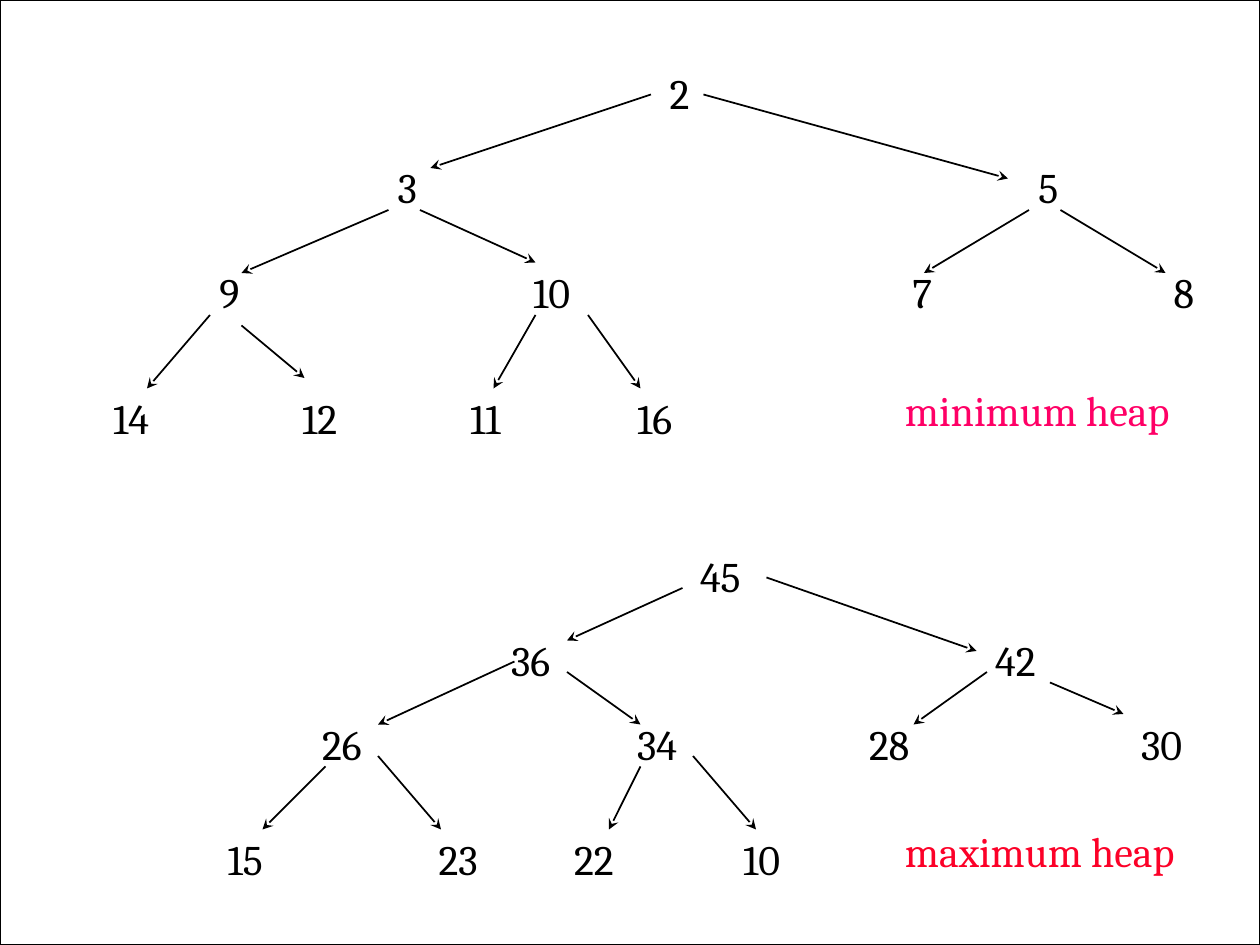
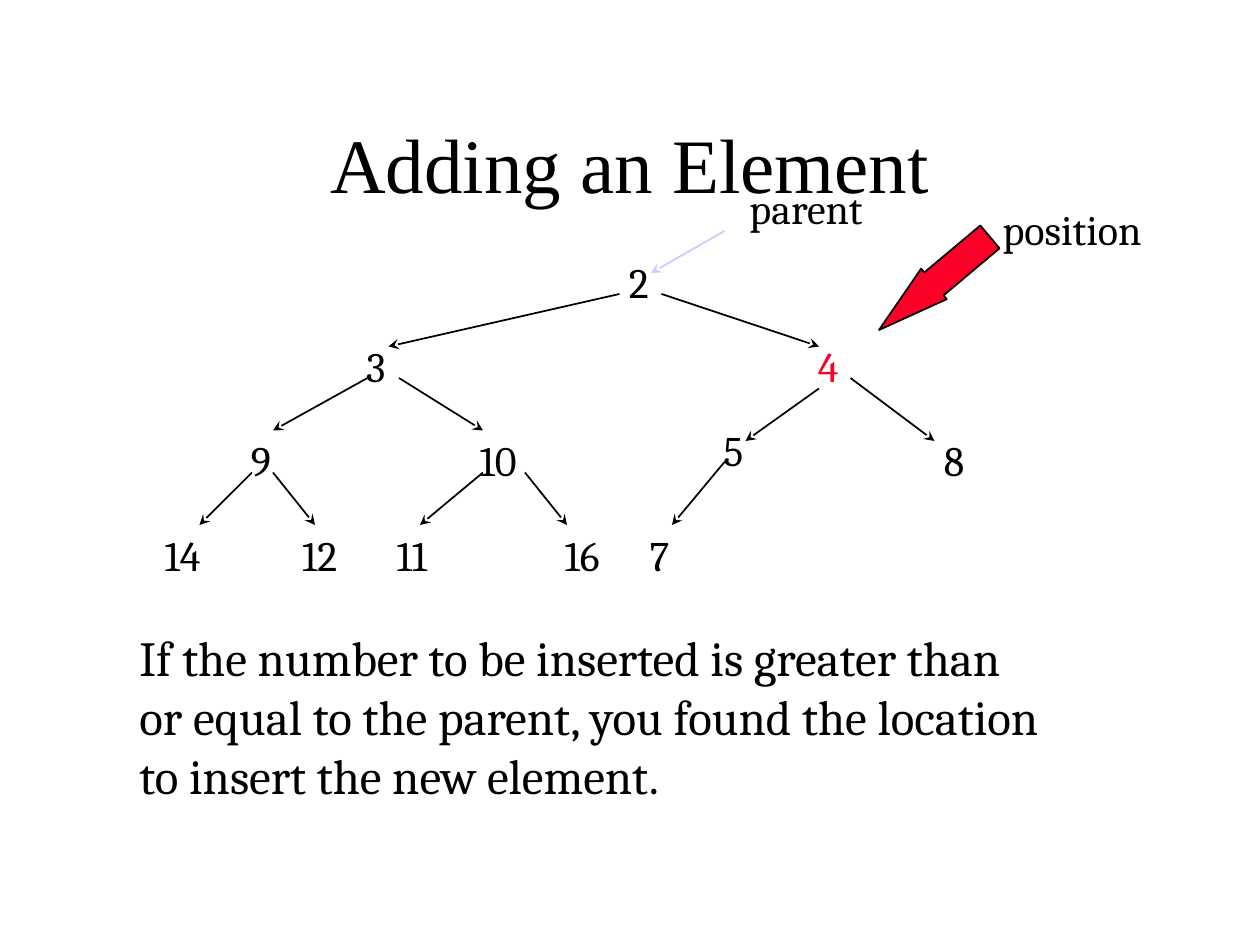
from lxml.etree import SubElement
from pptx import Presentation
from pptx.dml.color import RGBColor
from pptx.enum.shapes import MSO_CONNECTOR, MSO_SHAPE
from pptx.enum.text import MSO_ANCHOR, MSO_AUTO_SIZE, PP_ALIGN
from pptx.oxml.ns import qn
from pptx.util import Pt

PX = 7620  # EMU, 120 px to the inch
WIDTH, HEIGHT = 1200, 900
FONT, TITLE_FONT = "Cambria", "Times New Roman"
BLACK, WHITE, RED, PINK, LAVENDER = "000000", "FFFFFF", "FC0128", "FF0066", "CCCCFF"
DIGIT, NODE_PAD, LINE_HEIGHT = 23, 24, 60

# Levels: top, then (key, left) for each node. Arrows: x1, y1, x2, y2.
MIN_HEAP = {
    "levels": [
        (58, [("2", 626)]),
        (148, [("3", 367), ("5", 977)]),
        (248, [("9", 197), ("10", 496), ("7", 857), ("8", 1106)]),
        (368, [("14", 96), ("12", 276), ("11", 436), ("16", 595)]),
    ],
    "arrows": [
        (620, 90, 410, 160), (670, 90, 960, 170),
        (370, 200, 230, 260), (400, 200, 510, 250),
        (980, 200, 880, 260), (1010, 200, 1110, 260),
        (200, 300, 140, 370), (230, 310, 290, 360),
        (510, 300, 470, 370), (560, 300, 610, 370),
    ],
}
MAX_HEAP = {
    "levels": [
        (518, [("45", 655)]),
        (598, [("36", 475), ("42", 936)]),
        (678, [("26", 295), ("34", 595), ("28", 816), ("30", 1075)]),
        (788, [("15", 205), ("23", 406), ("22", 535), ("10", 696)]),
    ],
    "arrows": [
        (650, 560, 540, 610), (730, 550, 930, 620),
        (490, 630, 360, 690), (540, 640, 610, 690),
        (940, 640, 870, 690), (1000, 650, 1070, 680),
        (310, 730, 250, 790), (360, 720, 420, 790),
        (610, 730, 580, 790), (660, 720, 720, 790),
    ],
}
INSERT_HEAP = {
    "levels": [
        (238, [("2", 587)]),
        (318, [("3", 337), ("4", 767)]),
        (398, [("5", 677)]),
        (408, [("9", 227), ("10", 445), ("8", 887)]),
        (498, [("14", 145), ("12", 276), ("11", 366), ("16", 526), ("7", 607)]),
    ],
    "arrows": [
        (590, 280, 370, 330), (630, 280, 780, 330),
        (350, 360, 260, 410), (380, 360, 460, 410),
        (240, 450, 190, 500), (260, 450, 300, 500),
        (460, 450, 400, 500), (500, 450, 540, 500),
        (780, 370, 710, 420), (810, 360, 890, 420),
        (690, 440, 640, 500),
    ],
    "inserted": "4",
}
CAPTIONS = [("minimum heap", (850, 360, 300, 108), PINK),
            ("maximum heap", (850, 780, 310, 108), RED)]
TITLE = "Adding an Element"
RULE = ["If the number to be inserted is greater than",
        "or equal to the parent, you found the location",
        "to insert the new element."]
LABELS = [("position", (943, 188, 179, LINE_HEIGHT)),
          ("parent", (702, 168, 151, LINE_HEIGHT))]


def rgb(color):
    return RGBColor.from_string(color)


def emu(*lengths):
    return [n * PX for n in lengths]


def write(p, text, size, font=FONT, color=BLACK):
    r = p.add_run()
    r.text = text
    r.font.size, r.font.name = Pt(size), font
    r.font.color.rgb = rgb(color)


def add_text(slide, lines, box, size=24, color=BLACK, wrap=False):
    tf = slide.shapes.add_textbox(*emu(*box)).text_frame
    tf.word_wrap = wrap
    tf.auto_size = MSO_AUTO_SIZE.SHAPE_TO_FIT_TEXT
    p = tf.paragraphs[0]
    for i, line in enumerate(lines):
        if i:
            p.add_line_break()
        write(p, line, size, color=color)


def add_arrow(slide, ends, color=BLACK):
    c = slide.shapes.add_connector(MSO_CONNECTOR.STRAIGHT, *emu(*ends))
    c.line.color.rgb = rgb(color)
    c.line.width = Pt(1)
    SubElement(c.line._get_or_add_ln(), qn("a:tailEnd"), type="stealth")
    SubElement(c._element.spPr, qn("a:effectLst"))


def add_shape(slide, kind, box, fill, line_width):
    sp = slide.shapes.add_shape(kind, *emu(*box))
    sp.shadow.inherit = False
    sp.fill.solid()
    sp.fill.fore_color.rgb = rgb(fill)
    sp.line.color.rgb = rgb(BLACK)
    sp.line.width = Pt(line_width)
    return sp


def add_heap(slide, heap):
    for top, nodes in heap["levels"]:
        for key, left in nodes:
            box = (left, top, NODE_PAD + DIGIT * len(key), LINE_HEIGHT)
            color = RED if key == heap.get("inserted") else BLACK
            add_text(slide, [key], box, color=color)
    for ends in heap["arrows"]:
        add_arrow(slide, ends)


def build_heap_kinds(prs):
    slide = prs.slides.add_slide(prs.slide_layouts[6])
    add_shape(slide, MSO_SHAPE.RECTANGLE, (0, 0, WIDTH, HEIGHT), WHITE, 0.75)
    for heap, (text, box, color) in zip((MIN_HEAP, MAX_HEAP), CAPTIONS):
        add_heap(slide, heap)
        add_text(slide, [text], box, color=color, wrap=True)


def build_insertion(prs):
    slide = prs.slides.add_slide(prs.slide_layouts[5])
    title = slide.shapes.title
    title.left, title.top, title.width, title.height = emu(90, 80, 1020, 150)
    tf = title.text_frame
    tf.vertical_anchor = MSO_ANCHOR.MIDDLE
    tf.auto_size = MSO_AUTO_SIZE.NONE
    p = tf.paragraphs[0]
    p.alignment = PP_ALIGN.CENTER
    write(p, TITLE, 44, TITLE_FONT)

    add_heap(slide, INSERT_HEAP)
    add_text(slide, RULE, (121, 592, 1033, 180), size=28)
    pointer = add_shape(slide, MSO_SHAPE.LEFT_ARROW, (821, 251, 138, 38), RED, 1)
    pointer.rotation = 320
    pointer.adjustments[0], pointer.adjustments[1] = 0.75, 1.8
    for text, box in LABELS:
        add_text(slide, [text], box)
    add_arrow(slide, (690, 220, 620, 260), LAVENDER)


def main():
    prs = Presentation()
    prs.slide_width, prs.slide_height = emu(WIDTH, HEIGHT)
    build_heap_kinds(prs)
    build_insertion(prs)
    prs.save("out.pptx")


if __name__ == "__main__":
    main()
